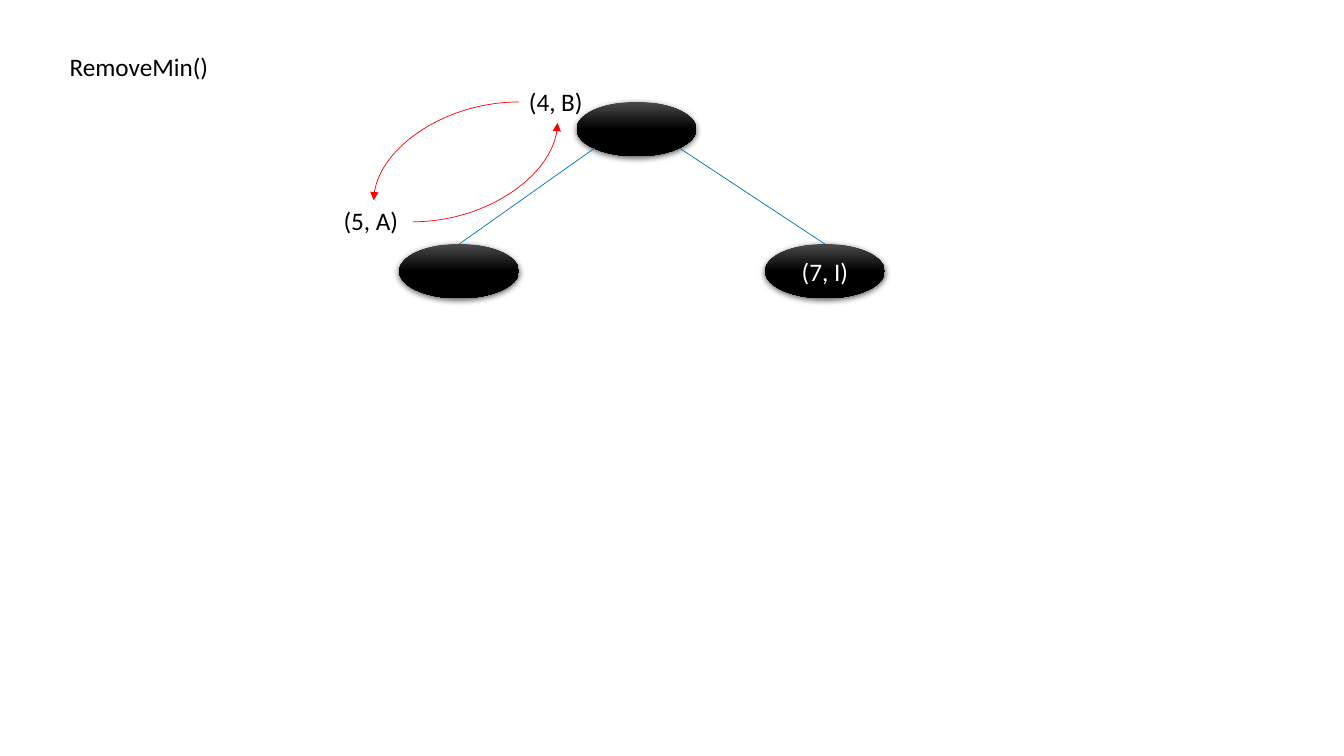
from lxml import etree
from pptx import Presentation
from pptx import util as u
from pptx.dml.color import RGBColor
from pptx.enum import shapes, text
from pptx.oxml import parse_xml
from pptx.oxml.ns import nsdecls, qn

COLORS = {"black": "000000", "sheen": "4B4B4B", "white": "FFFFFF",
          "edge": "0070C0", "swap": "FF0000"}
NODE_W, NODE_H = 3.02, 1.37
ROOT_LEFT, ROOT_TOP = 14.53, 2.57
CHILD_TOP = 6.15


def rgb(name):
    """Return the named colour."""
    return RGBColor.from_string(COLORS[name])


def style_text(tf, color, align):
    """Format all runs of a text frame."""
    for p in tf.paragraphs:
        p.alignment = align
        for r in p.runs:
            r.font.size = u.Pt(18)
            r.font.name = "Calibri"
            r.font.color.rgb = rgb(color)


def add_title(s, title):
    """Fill and place the slide title."""
    sp = s.shapes.title
    sp.left, sp.top, sp.width, sp.height = u.Cm(1.5), u.Cm(1.17), u.Cm(4.09), u.Cm(1.02)
    tf = sp.text_frame
    tf.text = title
    tf.word_wrap = False
    tf.auto_size = text.MSO_AUTO_SIZE.NONE
    tf.vertical_anchor = text.MSO_ANCHOR.TOP
    tf.paragraphs[0].line_spacing = 1.0
    style_text(tf, "black", text.PP_ALIGN.LEFT)


def add_label(s, left, top, width, label):
    """Add a key-value label beside a node."""
    sp = s.shapes.add_textbox(u.Cm(left), u.Cm(top), u.Cm(width), u.Cm(1.02))
    tf = sp.text_frame
    tf.text = label
    tf.word_wrap = False
    tf.auto_size = text.MSO_AUTO_SIZE.SHAPE_TO_FIT_TEXT
    style_text(tf, "black", text.PP_ALIGN.LEFT)


def add_node(s, left, top, label=""):
    """Add a glossy tree node with a soft shadow."""
    sp = s.shapes.add_shape(shapes.MSO_SHAPE.OVAL, u.Cm(left), u.Cm(top),
                            u.Cm(NODE_W), u.Cm(NODE_H))
    sp.fill.gradient()
    sp.fill.gradient_angle = 270
    for stop, color, position in zip(sp.fill.gradient_stops, ("sheen", "black"), (0, 0.5)):
        stop.color.rgb = rgb(color)
        stop.position = position
    sp.line.fill.background()
    sp.shadow.inherit = False
    sp._element.spPr.find(qn("a:effectLst")).append(parse_xml(
        f'<a:outerShdw {nsdecls("a")} blurRad="57150" dist="19050" dir="5400000" '
        f'algn="ctr" rotWithShape="0"><a:srgbClr val="{COLORS["black"]}">'
        '<a:alpha val="63000"/></a:srgbClr></a:outerShdw>'))
    if label:
        tf = sp.text_frame
        tf.text = label
        tf.vertical_anchor = text.MSO_ANCHOR.MIDDLE
        style_text(tf, "white", text.PP_ALIGN.CENTER)
    return sp


def add_line(s, kind, start, end, color):
    """Add a thin connector without a shadow."""
    c = s.shapes.add_connector(kind, *(u.Cm(v) for v in start + end))
    c.line.color.rgb = rgb(color)
    c.line.width = u.Pt(0.5)
    etree.SubElement(c._element.spPr, qn("a:effectLst"))
    return c


def add_edge(s, start, child):
    """Join a point on the root to the top of a child."""
    c = add_line(s, shapes.MSO_CONNECTOR.STRAIGHT, start, start, "edge")
    c.end_connect(child, 0)


def add_swap_arrow(s, start, end):
    """Add a quarter-turn arrow that leaves horizontally."""
    c = add_line(s, shapes.MSO_CONNECTOR.CURVE, start, end, "swap")
    c._element.spPr.find(qn("a:prstGeom")).set("prst", "curvedConnector2")
    etree.SubElement(c.line._get_or_add_ln(), qn("a:tailEnd"), type="triangle")


def main():
    """Build the heap slide."""
    prs = Presentation()
    prs.slide_width, prs.slide_height = u.Cm(33.87), u.Cm(19.05)
    s = prs.slides.add_slide(prs.slide_layouts[5])
    add_title(s, "RemoveMin()")

    add_node(s, ROOT_LEFT, ROOT_TOP)
    left_child = add_node(s, 10.06, CHILD_TOP)
    right_child = add_node(s, 19.28, CHILD_TOP, "(7, I)")
    add_edge(s, (14.99, 3.73), left_child)
    add_edge(s, (17.12, 3.73), right_child)

    add_label(s, 8.41, 5.05, 2.01, "(5, A)")
    add_label(s, 13.08, 2.06, 1.9, "(4, B)")
    add_swap_arrow(s, (13.08, 2.57), (9.42, 5.05))
    add_swap_arrow(s, (10.41, 5.59), (14.05, 3.1))
    prs.save("out.pptx")


if __name__ == "__main__":
    main()
